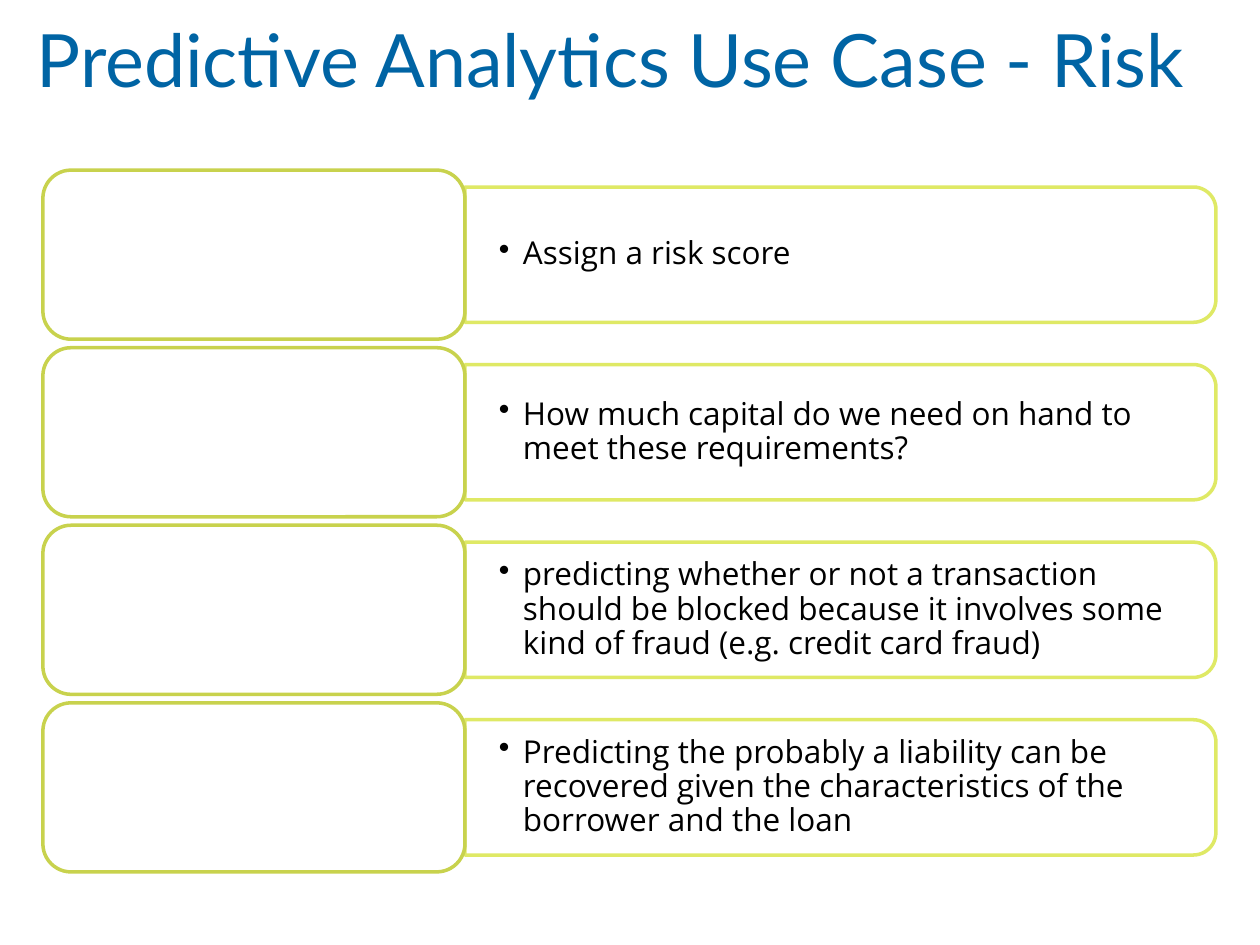
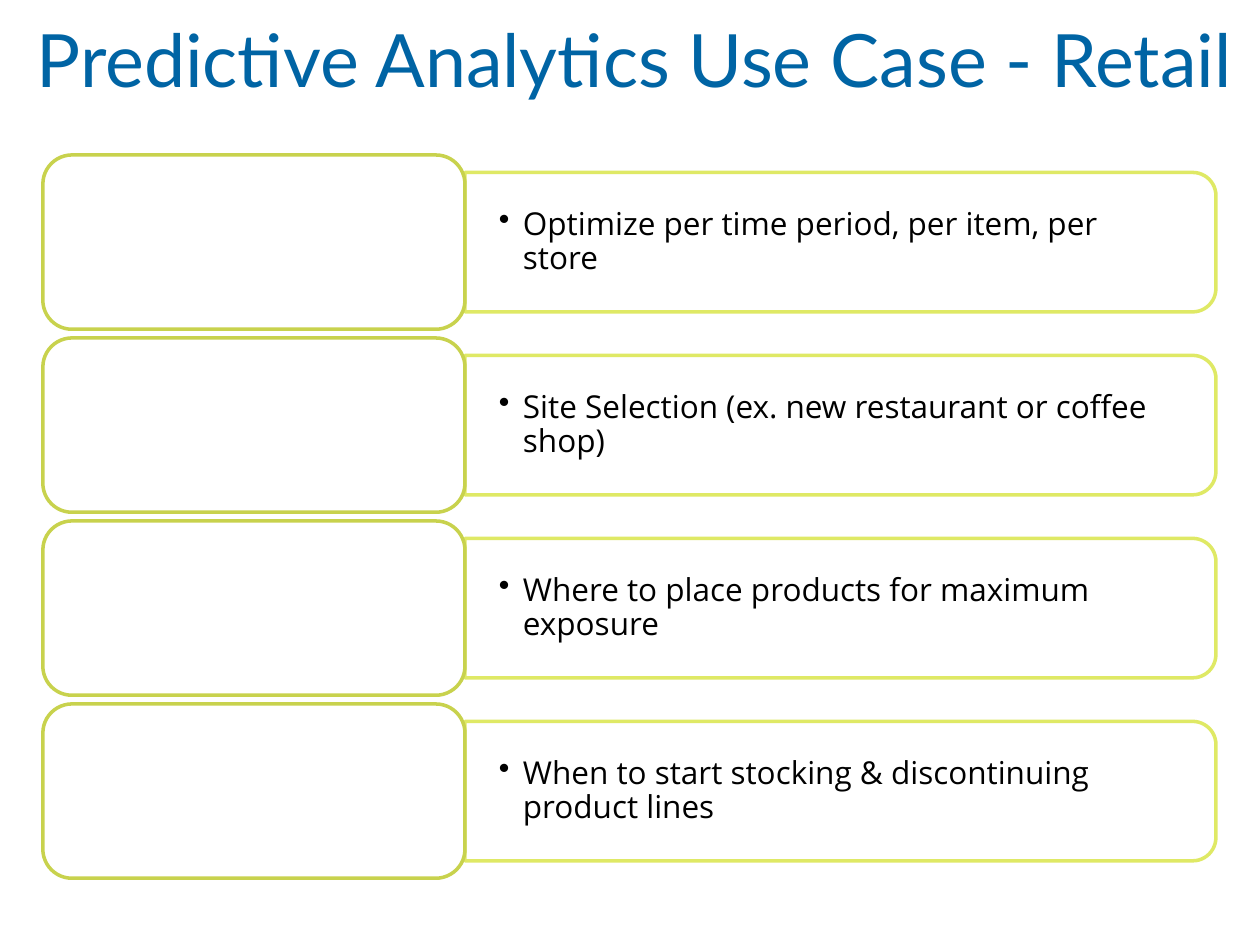
from lxml import etree
from pptx import Presentation
from pptx import util as u
from pptx.dml.color import RGBColor
from pptx.enum import shapes, text
from pptx.oxml.ns import qn

COLORS = {"title": "0064A4", "text": "000000", "fill": "FFFFFF",
          "label_line": "C8D24D", "panel_line": "DCE755"}
TITLE_FONT, BODY_FONT = "Lato", "Open Sans"
LEFT, LABEL_W, PANEL_W = 0.34, 3.35, 5.96
GAP_RATIO = 0.05    # gap between rows, as a share of the row height
PANEL_RATIO = 0.8   # panel height, as a share of the row height

USE_CASES = [
    # title, top and height of the rows, row texts
    ("Predictive Analytics Use Case - Risk", 1.35, 5.57, [
        "Assign a risk score",
        "How much capital do we need on hand to meet these requirements?",
        "predicting whether or not a transaction should be blocked because "
        "it involves some kind of fraud (e.g. credit card fraud)",
        "Predicting the probably a liability can be recovered given the "
        "characteristics of the borrower and the loan",
    ]),
    ("Predictive Analytics Use Case - Retail", 1.23, 5.74, [
        "Optimize per time period, per item, per store",
        "Site Selection (ex. new restaurant or coffee shop)",
        "Where to place products for maximum exposure",
        "When to start stocking & discontinuing product lines",
    ]),
]


def rgb(name):
    return RGBColor.from_string(COLORS[name])


def set_font(font, name, size, color):
    font.name, font.size = name, u.Pt(size)
    font.color.rgb = rgb(color)


def set_margins(tf, horizontal, vertical):
    tf.margin_left = tf.margin_right = u.Inches(horizontal)
    tf.margin_top = tf.margin_bottom = u.Inches(vertical)


def add_box(s, kind, left, top, width, height, line):
    sp = s.shapes.add_shape(kind, u.Inches(left), u.Inches(top),
                            u.Inches(width), u.Inches(height))
    sp.shadow.inherit = False
    sp.fill.solid()
    sp.fill.fore_color.rgb = rgb("fill")
    sp.line.color.rgb = rgb(line)
    sp.line.width = u.Pt(2)
    return sp


def add_panel(s, left, top, width, height):
    """Add a box rounded on its right side: a top-rounded shape turned 90°."""
    sp = add_box(s, shapes.MSO_SHAPE.ROUND_2_SAME_RECTANGLE,
                 left + (width - height) / 2, top + (height - width) / 2,
                 height, width, "panel_line")
    sp.rotation = 90
    for color in sp._element.spPr.iter(qn("a:srgbClr")):
        etree.SubElement(color, qn("a:alpha"), val="90000")


def add_bullet_text(s, left, top, width, height, content):
    tf = s.shapes.add_textbox(u.Inches(left), u.Inches(top),
                              u.Inches(width), u.Inches(height)).text_frame
    tf.word_wrap = True
    tf.vertical_anchor = text.MSO_ANCHOR.MIDDLE
    set_margins(tf, 0.27, 0.14)
    p = tf.paragraphs[0]
    p.text = content
    p.level = 1
    p.line_spacing = 0.9
    p.space_after = u.Pt(2.7)
    pPr = p._p.get_or_add_pPr()
    pPr.set("marL", str(u.Inches(0.19)))
    pPr.set("indent", str(-u.Inches(0.19)))
    etree.SubElement(pPr, qn("a:buChar"), char="•")
    set_font(p.runs[0].font, BODY_FONT, 18, "text")


def add_row(s, top, height, content):
    panel_left, panel_h = LEFT + LABEL_W, height * PANEL_RATIO
    panel_top = top + (height - panel_h) / 2
    add_panel(s, panel_left, panel_top, PANEL_W, panel_h)
    add_bullet_text(s, panel_left, panel_top + 0.05, PANEL_W - 0.05,
                    panel_h - 0.1, content)
    add_box(s, shapes.MSO_SHAPE.ROUNDED_RECTANGLE, LEFT, top, LABEL_W, height,
            "label_line")


def set_title(s, content):
    sp = s.shapes.title
    sp.left, sp.top = u.Inches(0.19), u.Inches(0.33)
    sp.width, sp.height = u.Inches(9.81), u.Inches(0.58)
    tf = sp.text_frame
    tf.text = content
    tf.auto_size = text.MSO_AUTO_SIZE.NONE
    tf.vertical_anchor = text.MSO_ANCHOR.BOTTOM
    set_margins(tf, 0.1, 0.1)
    p = tf.paragraphs[0]
    p.alignment = text.PP_ALIGN.LEFT
    set_font(p.runs[0].font, TITLE_FONT, 42, "title")


def add_use_case_slide(prs, title, top, height, contents):
    s = prs.slides.add_slide(prs.slide_layouts.get_by_name("Title Only"))
    set_title(s, title)
    count = len(contents)
    row_h = height / (count + (count - 1) * GAP_RATIO)
    for i, content in enumerate(contents):
        add_row(s, top + i * row_h * (1 + GAP_RATIO), row_h, content)


def main():
    prs = Presentation()
    prs.slide_width, prs.slide_height = u.Inches(10), u.Inches(7.5)
    for use_case in USE_CASES:
        add_use_case_slide(prs, *use_case)
    prs.save("out.pptx")


if __name__ == "__main__":
    main()
